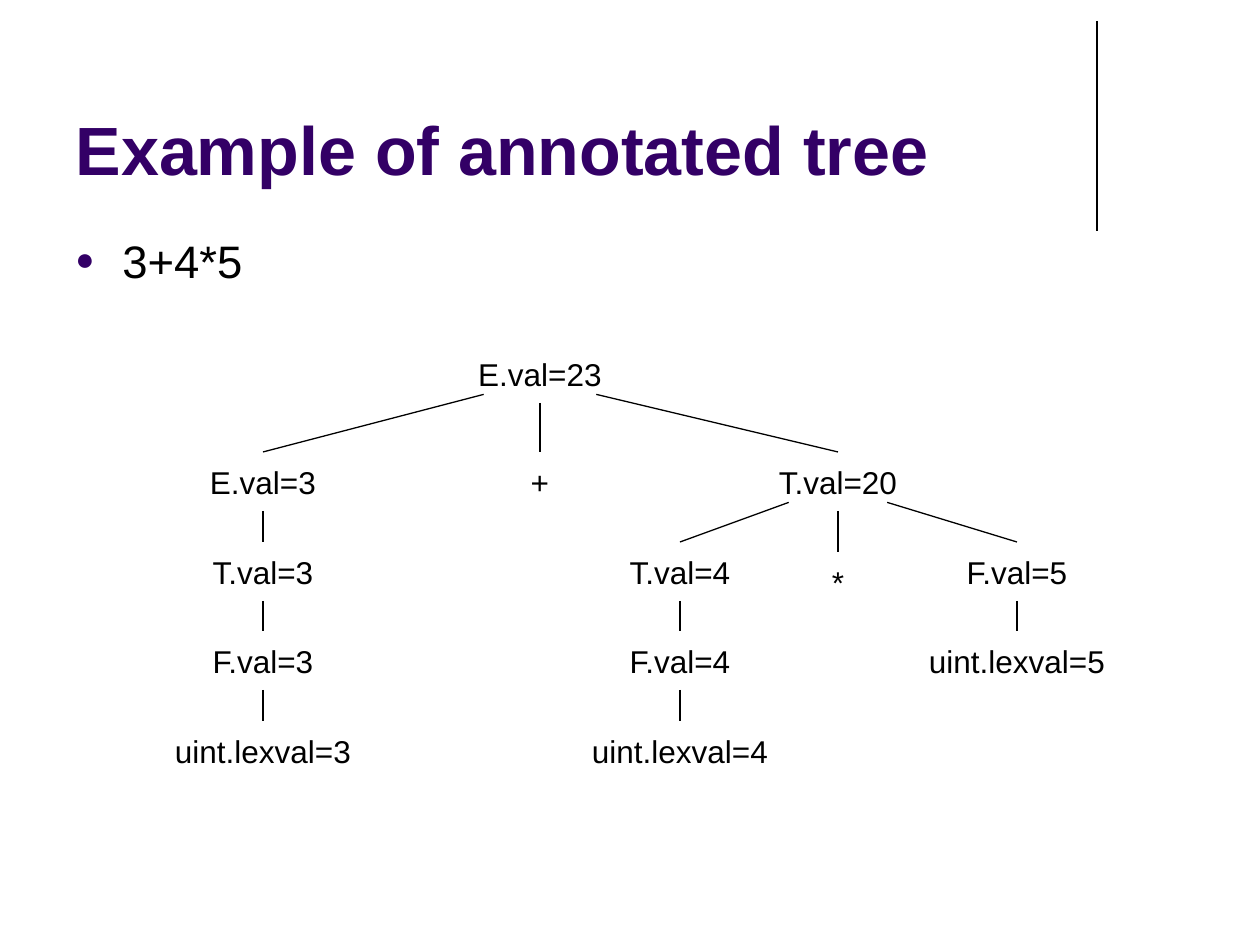
from lxml import etree
from pptx import Presentation
from pptx.dml.color import RGBColor
from pptx.enum.shapes import MSO_CONNECTOR, MSO_SHAPE
from pptx.enum.text import MSO_ANCHOR, MSO_AUTO_SIZE, PP_ALIGN
from pptx.oxml.ns import qn
from pptx.util import Pt

STRAIGHT = MSO_CONNECTOR.STRAIGHT
OVAL = MSO_SHAPE.OVAL
LEFT, CENTER = PP_ALIGN.LEFT, PP_ALIGN.CENTER
TOP, MIDDLE, BOTTOM = MSO_ANCHOR.TOP, MSO_ANCHOR.MIDDLE, MSO_ANCHOR.BOTTOM
FIXED = MSO_AUTO_SIZE.NONE
BLACK = RGBColor(0, 0, 0)
PURPLE = RGBColor(0x33, 0, 0x66)
SCALE = 914400 / 126
NODE_H = 59
DIAG = 0.354

NODES = {
    "root": ("E.val=23", 540, 344, 159, None, 0),
    "e3": ("E.val=3", 263, 452, 118, "root", -1),
    "plus": ("+", 540, 452, 59, "root", 0),
    "t20": ("T.val=20", 838, 452, 139, "root", 1),
    "t3": ("T.val=3", 263, 542, 118, "e3", 0),
    "f3": ("F.val=3", 263, 631, 118, "t3", 0),
    "lex3": ("uint.lexval=3", 263, 721, 198, "f3", 0),
    "t4": ("T.val=4", 680, 542, 120, "t20", -1),
    "times": ("*", 838, 552, 59, "t20", 0),
    "f5": ("F.val=5", 1017, 542, 120, "t20", 1),
    "f4": ("F.val=4", 680, 631, 120, "t4", 0),
    "lex4": ("uint.lexval=4", 680, 721, 198, "f4", 0),
    "lex5": ("uint.lexval=5", 1017, 631, 198, "f5", 0),
}


def px(value):
    return round(value * SCALE)


def assign(item, values):
    for name, value in values.items():
        setattr(item, name, value)


def write(shape, text, size, color=BLACK, bold=False, align=LEFT,
          anchor=TOP, wrap=True):
    frame = shape.text_frame
    assign(frame, {"auto_size": FIXED, "word_wrap": wrap,
                   "vertical_anchor": anchor})
    para = frame.paragraphs[0]
    para.alignment = align
    run = para.add_run()
    run.text = text
    assign(run.font, {"name": "Arial", "size": Pt(size), "bold": bold})
    run.font.color.rgb = color
    return para


def add_line(slide, *ends):
    line = slide.shapes.add_connector(STRAIGHT, *map(px, ends))
    line.line.color.rgb = BLACK
    line.line.width = Pt(0.75)
    props = line.element.find(qn("p:spPr"))
    etree.SubElement(props, qn("a:effectLst"))


def add_title(slide, text):
    title = slide.shapes.title
    assign(title, {"left": px(63), "top": px(16),
                   "width": px(1040), "height": px(179)})
    write(title, text, 39, PURPLE, bold=True, anchor=BOTTOM)


def add_bullet(slide, text):
    box = slide.shapes.add_textbox(px(63), px(237), px(1134), px(57))
    para = write(box, text, 26)
    assign(para, {"line_spacing": 0.8, "space_before": Pt(5)})
    props = para._p.get_or_add_pPr()
    props.set("marL", str(px(47)))
    props.set("indent", str(px(-47)))
    color = etree.SubElement(props, qn("a:buClr"))
    etree.SubElement(color, qn("a:srgbClr"), val=str(PURPLE))
    etree.SubElement(props, qn("a:buSzPct"), val="70000")
    etree.SubElement(props, qn("a:buFont"), typeface="Arial")
    etree.SubElement(props, qn("a:buChar"), char="●")


def add_node(slide, text, mid, top, width):
    node = slide.shapes.add_shape(OVAL, px(mid - width / 2), px(top),
                                  px(width), px(NODE_H))
    node.shadow.inherit = False
    node.fill.background()
    node.line.fill.background()
    write(node, text, 18, align=CENTER, anchor=MIDDLE, wrap=False)


def add_branch(slide, parent, side, mid, top):
    _, start, high, width, _, _ = NODES[parent]
    drop = DIAG if side else 0.5
    add_line(slide, start + side * DIAG * width,
             high + NODE_H * (0.5 + drop), mid, top)


def main():
    deck = Presentation()
    assign(deck, {"slide_width": px(1260), "slide_height": px(945)})
    slide = deck.slides.add_slide(deck.slide_layouts[5])
    add_line(slide, 1097, 21, 1097, 231)
    add_title(slide, "Example of annotated tree")
    add_bullet(slide, "3+4*5")
    for text, mid, top, width, parent, side in NODES.values():
        add_node(slide, text, mid, top, width)
        if parent:
            add_branch(slide, parent, side, mid, top)
    deck.save("out.pptx")


main()
